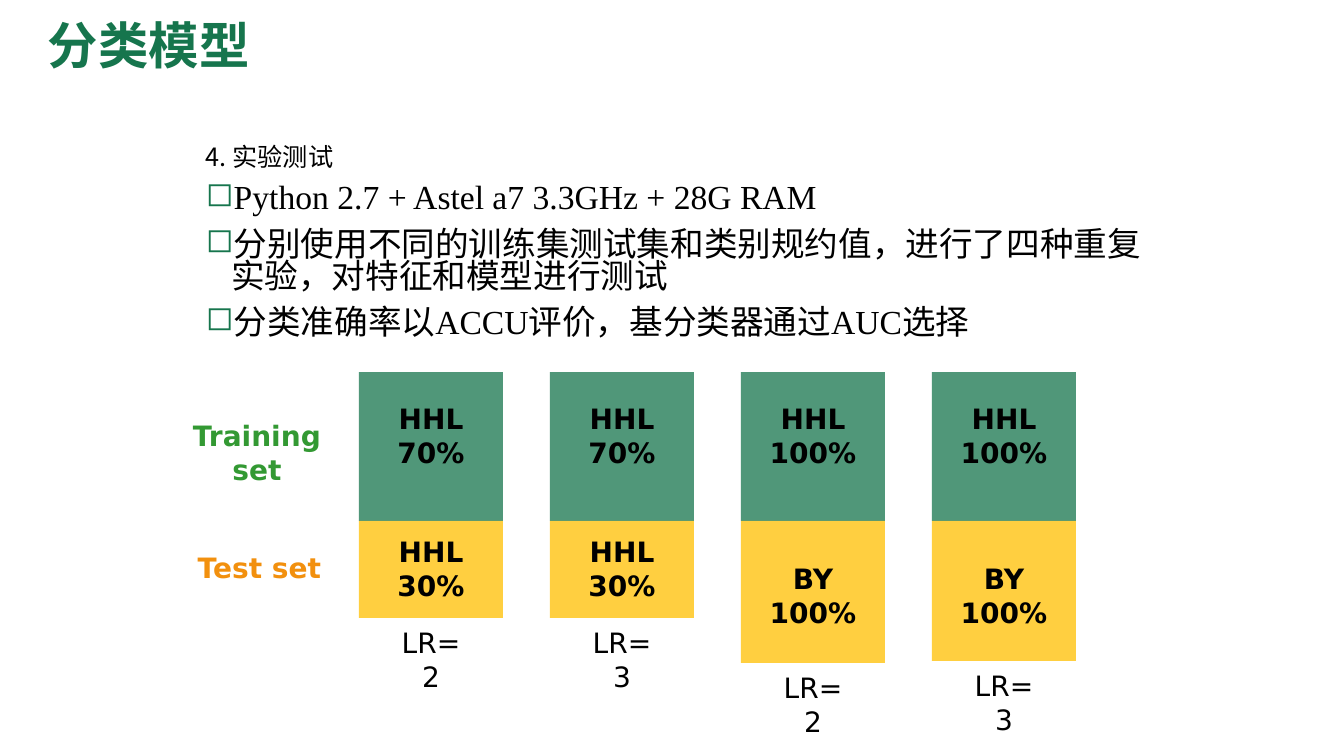
from lxml import etree
from pptx import Presentation
from pptx import util as u
from pptx.dml.color import RGBColor
from pptx.enum import shapes, text
from pptx.oxml.ns import qn

PX = 914400 / 100.8
GREEN = RGBColor(0x16, 0x75, 0x4D)
YELLOW = RGBColor(0xFF, 0xC0, 0x00)
TRAIN_LABEL = RGBColor(0x33, 0x99, 0x33)
TEST_LABEL = RGBColor(0xF2, 0x90, 0x0E)
BLACK = RGBColor(0, 0, 0)
SANS, CJK, SERIF = "DejaVu Sans", "Noto Sans CJK SC", "Times New Roman"


def add_text(parent, box, lines, size, color, font=SANS, bold=False,
             align=text.PP_ALIGN.CENTER, wrap=False):
    frame = parent.add_textbox(*(u.Emu(round(v * PX)) for v in box)).text_frame
    frame.word_wrap = wrap
    for i, line in enumerate(lines):
        paragraph = frame.paragraphs[0] if i == 0 else frame.add_paragraph()
        paragraph.alignment = align
        run = paragraph.add_run()
        run.text = line
        run.font.size = u.Pt(size)
        run.font.bold = bold
        run.font.name = font
        run.font.color.rgb = color
        east_asian = etree.SubElement(run.font._element, qn("a:ea"))
        east_asian.set("typeface", CJK)
    return frame


def add_block(parent, box, color):
    block = parent.add_shape(shapes.MSO_SHAPE.RECTANGLE,
                             *(u.Emu(round(v * PX)) for v in box))
    block.shadow.inherit = False
    block.line.fill.background()
    block.fill.solid()
    block.fill.fore_color.rgb = color
    tint = block._element.spPr.find(".//" + qn("a:srgbClr"))
    etree.SubElement(tint, qn("a:alpha")).set("val", "75000")


deck = Presentation()
deck.slide_width = u.Emu(round(1344 * PX))
deck.slide_height = u.Emu(round(756 * PX))
slide = deck.slides.add_slide(deck.slide_layouts[6])
LEFT = text.PP_ALIGN.LEFT

# Title
title = add_text(slide.shapes, (38, 5, 1159, 86), ["分类模型"], 36, GREEN,
                 bold=True, align=LEFT, wrap=True)
title.vertical_anchor = text.MSO_ANCHOR.MIDDLE
title.paragraphs[0].line_spacing = 0.9

# Experiment setup
points = [
    "Python 2.7 + Astel a7 3.3GHz + 28G RAM",
    "分别使用不同的训练集测试集和类别规约值，进行了四种重复实验，对特征和模型进行测试",
    "分类准确率以ACCU评价，基分类器通过AUC选择",
]
setup = add_text(slide.shapes, (196, 179, 963, 175), points, 24, BLACK,
                 font=SERIF, align=LEFT, wrap=True)
for i, point in enumerate(setup.paragraphs):
    props = point._p.get_or_add_pPr()
    props.set("marL", str(u.Inches(0.25)))
    props.set("indent", str(-u.Inches(0.25)))
    bullet_color = etree.SubElement(props, qn("a:buClr"))
    etree.SubElement(bullet_color, qn("a:srgbClr")).set("val", str(GREEN))
    etree.SubElement(props, qn("a:buChar")).set("char", "◻")
    point.line_spacing = 0.8
    if i:
        point.space_before = u.Pt(10)

# Four experiments: training share, test set, test share, block height, label top, LR
experiments = [
    ("70%", "HHL", "30%", 97, 530, 2),
    ("70%", "HHL", "30%", 97, 530, 3),
    ("100%", "BY", "100%", 142, 557, 2),
    ("100%", "BY", "100%", 140, 557, 3),
]
TRAIN_TOP, TRAIN_HEIGHT, WIDTH = 372, 149, 144
TEST_TOP = TRAIN_TOP + TRAIN_HEIGHT
for i, (train, test_set, test, height, label_top, lr) in enumerate(experiments):
    x = 359 + 191 * i
    column = slide.shapes.add_group_shape().shapes
    add_block(column, (x, TRAIN_TOP, WIDTH, TRAIN_HEIGHT), GREEN)
    add_block(column, (x, TEST_TOP, WIDTH, height), YELLOW)
    add_text(column, (x, 397, WIDTH, 78), ["HHL", train], 20, BLACK, bold=True)
    add_text(column, (x, label_top, WIDTH, 78), [test_set, test], 20, BLACK, bold=True)
    add_text(column, (x + 24, TEST_TOP + height + 3, 96, 44), [f"LR={lr}"], 20,
             BLACK, wrap=True)

# Row labels
add_text(slide.shapes, (182, 414, 150, 78), ["Training", "set"], 20, TRAIN_LABEL, bold=True)
add_text(slide.shapes, (187, 546, 145, 44), ["Test set"], 20, TEST_LABEL, bold=True)

# Section heading
heading = add_text(slide.shapes, (196, 136, 449, 40), ["4. 实验测试"], 18, BLACK,
                   font=CJK, align=LEFT, wrap=True)
heading.paragraphs[0].space_after = u.Pt(6)

deck.save("out.pptx")
